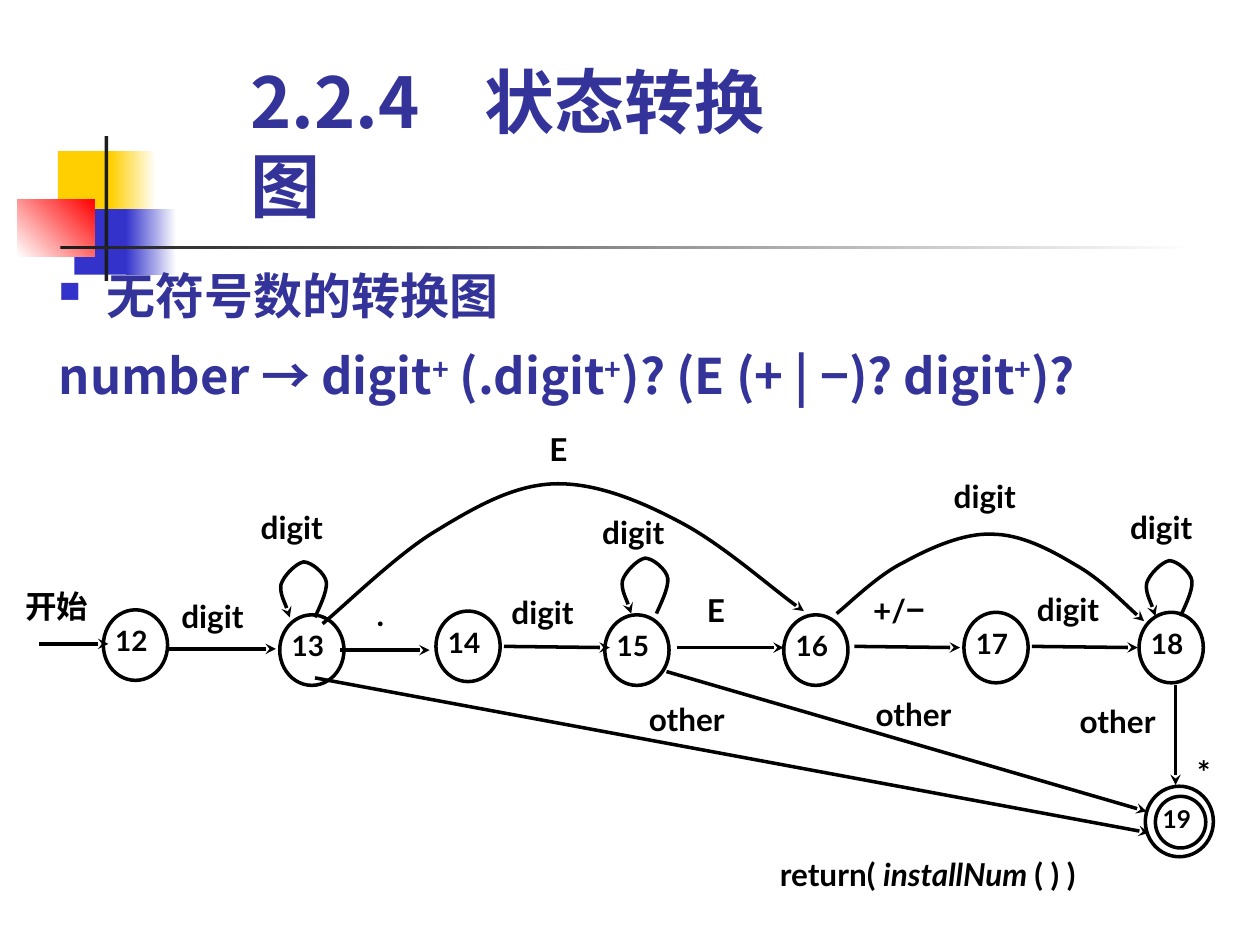
from pptx import Presentation
from pptx.dml.color import RGBColor
from pptx.enum.shapes import MSO_CONNECTOR as Connector, MSO_SHAPE as Shape
from pptx.enum.text import MSO_ANCHOR as Anchor, PP_ALIGN as Align
from pptx.oxml.ns import qn
from pptx.util import Inches, Pt
from lxml.etree import SubElement

BLACK = RGBColor(0, 0, 0)
WHITE = RGBColor(255, 255, 255)
NAVY = RGBColor(0x33, 0x33, 0x99)
BLUE = RGBColor(0x33, 0x33, 0xCC)
YELLOW = RGBColor(0xFF, 0xCF, 0x01)
RED = RGBColor(255, 0, 0)
CHARCOAL = RGBColor(0x1C, 0x1C, 0x1C)
LATIN = "Lato"
HEADING = "Noto Sans CJK JP"
CHINESE = "Noto Sans CJK SC"
LABEL_INSETS = (0.06, 0.03, 0.06, 0.03)
STATE_INSETS = (0.02, 0.03, 0.02, 0.05)
STATE_SIZE = (0.51, 0.56)
LOOP = [(0, 0), (0.02, -0.05), (0.1, -0.2), (0.09, -0.28), (0.08, -0.35),
        (-0.03, -0.44), (-0.09, -0.44), (-0.15, -0.43), (-0.25, -0.33),
        (-0.27, -0.26), (-0.28, -0.19), (-0.21, -0.05), (-0.2, 0)]


def set_frame(frame, insets=(0.1, 0.05, 0.1, 0.05), anchor=Anchor.TOP):
    frame.word_wrap = True
    frame.vertical_anchor = anchor
    frame.margin_left, frame.margin_top, frame.margin_right, frame.margin_bottom = map(Inches, insets)


def add_run(paragraph, text, size, color=BLACK, latin=LATIN, asian=CHINESE, italic=False, raised=False):
    run = paragraph.add_run()
    run.text = text
    font = run.font
    font.size, font.bold, font.italic, font.name = Pt(size), True, italic, latin
    font.color.rgb = color
    properties = run._r.get_or_add_rPr()
    SubElement(properties, qn("a:ea"), typeface=asian)
    if raised:
        properties.set("baseline", "30000")


def add_text_box(slide, left, top, width, height):
    return slide.shapes.add_textbox(Inches(left), Inches(top), Inches(width), Inches(height)).text_frame


def add_block(slide, left, top, width, height, color, end_color=None, angle=0):
    shape = slide.shapes.add_shape(Shape.RECTANGLE, Inches(left), Inches(top), Inches(width), Inches(height))
    shape.shadow.inherit = False
    shape.line.fill.background()
    if end_color is None:
        shape.fill.solid()
        shape.fill.fore_color.rgb = color
        return
    shape.fill.gradient()
    shape.fill.gradient_angle = angle
    for stop, stop_color, position in zip(shape.fill.gradient_stops, (color, end_color), (0, 1)):
        stop.color.rgb = stop_color
        stop.position = position


def add_circle(slide, left, top, width, height):
    circle = slide.shapes.add_shape(Shape.OVAL, Inches(left), Inches(top), Inches(width), Inches(height))
    circle.shadow.inherit = False
    circle.fill.background()
    circle.line.color.rgb = BLACK
    circle.line.width = Pt(2)
    return circle


def add_state(slide, number, left, top, size=STATE_SIZE, insets=STATE_INSETS, points=16):
    circle = add_circle(slide, left, top, *size)
    set_frame(circle.text_frame, insets)
    paragraph = circle.text_frame.paragraphs[0]
    paragraph.alignment = Align.LEFT
    add_run(paragraph, str(number), points)


def style_arrow(shape):
    shape.line.color.rgb = BLACK
    shape.line.width = Pt(2)
    SubElement(shape.line._get_or_add_ln(), qn("a:tailEnd"), type="stealth")


def add_arrow(slide, x1, y1, x2, y2):
    arrow = slide.shapes.add_connector(Connector.STRAIGHT, Inches(x1), Inches(y1), Inches(x2), Inches(y2))
    style_arrow(arrow)
    SubElement(arrow._element.spPr, qn("a:effectLst"))


def add_curve(slide, left, top, points):
    start, *controls = [(Inches(left + x), Inches(top + y)) for x, y in points]
    builder = slide.shapes.build_freeform(*start)
    builder.add_line_segments(controls, close=False)
    curve = builder.convert_to_shape()
    curve.shadow.inherit = False
    curve.fill.background()
    style_arrow(curve)
    segments = list(curve._element.iter(qn("a:lnTo")))
    outline = segments[0].getparent()
    for index in range(0, len(segments), 3):
        bezier = SubElement(outline, qn("a:cubicBezTo"))
        for segment in segments[index:index + 3]:
            bezier.append(segment[0])
            outline.remove(segment)


def add_label(slide, left, top, width, height, *runs):
    frame = add_text_box(slide, left, top, width, height)
    set_frame(frame, LABEL_INSETS)
    paragraph = frame.paragraphs[0]
    paragraph.alignment = Align.JUSTIFY
    for text, style in runs:
        add_run(paragraph, text, 18, **style)


def draw_ornament(slide, left, top, width, height):
    add_block(slide, left + 0.32, top + 0.12, 0.48, 0.52, YELLOW)
    add_block(slide, left + 0.74, top + 0.12, 0.36, 0.52, YELLOW, WHITE)
    add_block(slide, left + 0.45, top + 0.58, 0.46, 0.52, BLUE)
    add_block(slide, left + 0.86, top + 0.58, 0.4, 0.52, BLUE, WHITE)
    add_block(slide, left, top + 0.5, 0.61, 0.46, WHITE, RED, 45)
    add_block(slide, left + 0.69, top, 0.03, height, CHARCOAL)
    add_block(slide, left + 0.34, top + 0.87, width - 0.34, 0.03, CHARCOAL, WHITE)


def draw_title(slide, left, top, width, height):
    frame = add_text_box(slide, left, top, width, height)
    set_frame(frame, anchor=Anchor.BOTTOM)
    paragraph = frame.paragraphs[0]
    tabs = SubElement(paragraph._p.get_or_add_pPr(), qn("a:tabLst"))
    SubElement(tabs, qn("a:tab"), pos=str(Inches(1.86)), algn="l")
    add_run(paragraph, "2.2.4\t状态转换图", 40, NAVY, HEADING, HEADING)


def draw_body(slide, left, top, width, height):
    frame = add_text_box(slide, left, top, width, height)
    set_frame(frame, anchor=Anchor.BOTTOM)
    heading = frame.paragraphs[0]
    properties = heading._p.get_or_add_pPr()
    properties.set("marL", str(Inches(0.38)))
    properties.set("indent", str(-Inches(0.38)))
    bullet_color = SubElement(properties, qn("a:buClr"))
    SubElement(bullet_color, qn("a:srgbClr"), val=str(BLUE))
    SubElement(properties, qn("a:buSzPct"), val="60000")
    SubElement(properties, qn("a:buChar"), char="■")
    add_run(heading, "无符号数的转换图", 28, NAVY, HEADING, HEADING)
    grammar = frame.add_paragraph()
    grammar.space_before = Pt(12)
    pieces = ["number → digit", "+", " (.digit", "+", ")? (E (+ | −)? digit", "+", ")?"]
    for index, text in enumerate(pieces):
        add_run(grammar, text, 28, NAVY, HEADING, HEADING, raised=index % 2 == 1)


def draw_diagram(slide, left, top):
    states = [(0.82, 1.84), (2.22, 1.88), (3.46, 1.85), (4.8, 1.88), (6.22, 1.88), (7.65, 1.86), (9.04, 1.86)]
    for number, (x, y) in enumerate(states, 12):
        add_state(slide, number, left + x, top + y)
    add_circle(slide, left + 9.09, top + 3.24, 0.54, 0.56)
    add_state(slide, 19, left + 9.17, top + 3.32, (0.4, 0.41), (0, 0, 0, 0), 14)

    arrows = [(0.31, 2.11, 0.86, 2.11), (1.34, 2.15, 2.19, 2.15), (2.7, 2.16, 3.41, 2.16),
              (4, 2.13, 4.84, 2.14), (5.37, 2.14, 6.22, 2.14), (6.78, 2.13, 7.62, 2.14),
              (8.19, 2.13, 9.03, 2.14), (9.33, 2.44, 9.33, 3.23),
              (5.29, 2.33, 9.1, 3.44), (2.5, 2.38, 9.12, 3.61)]
    for x1, y1, x2, y2 in arrows:
        add_arrow(slide, left + x1, top + y1, left + x2, top + y2)
    for x, y in [(2.5, 1.9), (5.21, 1.87), (9.37, 1.89)]:
        add_curve(slide, left + x, top + y, LOOP)
    add_curve(slide, left, top, [
        (2.56, 1.95), (2.71, 1.83), (3.15, 1.4), (3.45, 1.22), (3.76, 1.03), (4.07, 0.85), (4.4, 0.84),
        (4.72, 0.83), (5.07, 0.97), (5.39, 1.14), (5.72, 1.31), (6.17, 1.71), (6.38, 1.85)])
    add_curve(slide, left, top, [
        (6.64, 1.87), (6.73, 1.8), (6.97, 1.56), (7.18, 1.46), (7.38, 1.35), (7.65, 1.23), (7.87, 1.24),
        (8.1, 1.24), (8.33, 1.36), (8.53, 1.48), (8.73, 1.59), (8.97, 1.84), (9.08, 1.93)])

    labels = [("开始", 0.14, 1.63, 0.83), (".", 2.93, 1.69, 0.46), ("*", 9.44, 2.95, 0.45),
              ("E", 4.3, 0.38, 0.58), ("E", 5.55, 1.66, 0.82)]
    labels += [("digit", x, y, 0.87) for x, y in [
        (1.38, 1.71), (2.01, 1), (4, 1.68), (4.72, 1.04), (7.51, 0.76), (8.17, 1.65), (8.91, 1)]]
    labels += [("other", x, y, 1.07) for x, y in [(5.09, 2.53), (6.89, 2.49), (8.51, 2.54)]]
    for text, x, y, width in labels:
        add_label(slide, left + x, top + y, width, 0.53, (text, {}))
    add_label(slide, left + 6.87, top + 1.66, 0.82, 0.53, ("+/", {}), ("−", {"latin": CHINESE}))
    add_label(slide, left + 6.13, top + 3.76, 3.47, 0.53,
              ("return( ", {}), ("installNum ", {"italic": True}), ("( ) )", {}))


def main():
    presentation = Presentation()
    presentation.slide_width, presentation.slide_height = Inches(10), Inches(7.5)
    slide = presentation.slides.add_slide(presentation.slide_layouts[6])
    draw_ornament(slide, 0.14, 1.08, 9.34, 1.15)
    draw_body(slide, 0.37, 1.89, 9.37, 1.37)
    draw_diagram(slide, 0, 3)
    draw_title(slide, 1.89, 0.85, 4.82, 1)
    presentation.save("out.pptx")


if __name__ == "__main__":
    main()
